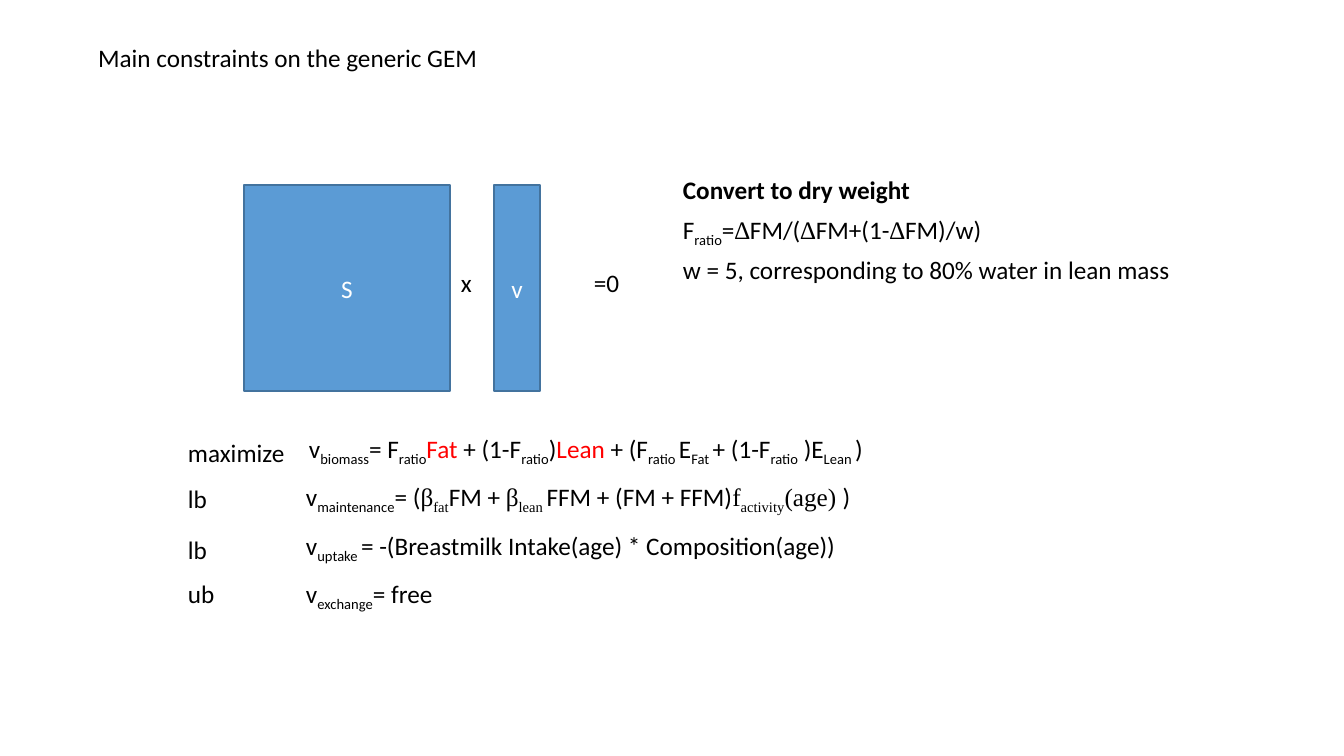
from pptx import Presentation
from pptx.dml.color import RGBColor
from pptx.enum.shapes import MSO_SHAPE
from pptx.enum.text import MSO_ANCHOR, MSO_AUTO_SIZE, PP_ALIGN
from pptx.util import Emu, Pt

SCALE = 914400 / 100.8
HEX = {"ink": "000000", "red": "FF0000", "blue": "5B9BD5", "edge": "43739E", "white": "FFFFFF"}
SANS, SERIF = "Calibri", "Times New Roman"
LINE = 40


def px(*vals):
    return [Emu(round(val * SCALE)) for val in vals]


def tint(name):
    return RGBColor.from_string(HEX[name])


def style(run, marks="", ink="ink"):
    font = run.font
    font.size = Pt(18)
    font.name = SERIF if "t" in marks else SANS
    font.color.rgb = tint("red" if "r" in marks else ink)
    font.bold = "b" in marks
    if "_" in marks:
        run._r.get_or_add_rPr().set("baseline", "-25000")


def write(slide, box, parts, wrap=False):
    frame = slide.shapes.add_textbox(*px(*box)).text_frame
    frame.word_wrap = wrap
    frame.auto_size = MSO_AUTO_SIZE.SHAPE_TO_FIT_TEXT
    for text, marks in parts:
        run = frame.paragraphs[0].add_run()
        run.text = text
        style(run, marks)


def head(slide, box):
    title = slide.shapes.title
    title.left, title.top, title.width, title.height = px(*box)
    frame = title.text_frame
    frame.text = "Main constraints on the generic GEM"
    frame.word_wrap = False
    frame.auto_size = MSO_AUTO_SIZE.NONE
    frame.vertical_anchor = MSO_ANCHOR.TOP
    frame.paragraphs[0].alignment = PP_ALIGN.LEFT
    style(frame.paragraphs[0].runs[0])


def block(slide, box, text):
    shape = slide.shapes.add_shape(MSO_SHAPE.RECTANGLE, *px(*box))
    shape.shadow.inherit = False
    shape.fill.solid()
    shape.fill.fore_color.rgb = tint("blue")
    shape.line.color.rgb = tint("edge")
    shape.line.width = Pt(1)
    frame = shape.text_frame
    frame.text = text
    frame.vertical_anchor = MSO_ANCHOR.MIDDLE
    para = frame.paragraphs[0]
    para.alignment = PP_ALIGN.CENTER
    style(para.runs[0], ink="white")


def balance(slide, box):
    left, top, width, height = box
    block(slide, (left, top, height, height), "S")
    block(slide, (left + 250, top, 46, height), "v")
    for text, shift, wide in (("x", 207, 31), ("=0", 340, 46)):
        write(slide, (left + shift, top + 77, wide, LINE), [(text, "")])


def weight(slide, box):
    left, top, width, height = box
    rows = [
        (249, [("Convert to dry weight", "b")]),
        (327, [("F", ""), ("ratio", "_"), ("=", ""), ("∆", "t"), ("FM/(", ""), ("∆", "t"),
               ("FM+(1-", ""), ("∆", "t"), ("FM)/w)", "")]),
        (width, [("w = 5, corresponding to 80% water in lean mass", "")]),
    ]
    for i, (wide, parts) in enumerate(rows):
        write(slide, (left, top + i * height / len(rows), wide, LINE), parts, wide == width)


def bounds(slide, box):
    left, top, width, height = box
    rows = [
        ("maximize", 118, 4, 121, 618, [
            ("v", ""), ("biomass", "_"), ("= F", ""), ("ratio", "_"), ("Fat", "r"), (" + (1-F", ""),
            ("ratio", "_"), (")", ""), ("Lean", "r"), (" + (F", ""), ("ratio ", "_"), ("E", ""),
            ("Fat ", "_"), ("+ (1-F", ""), ("ratio", "_"), (" )E", ""), ("Lean ", "_"), (")", "")]),
        ("lb", 39, 2, 118, 594, [
            ("v", ""), ("maintenance", "_"), ("= (", ""), ("β", "t"), ("fat", "t_"), ("FM + ", ""),
            ("β", "t"), ("lean ", "t_"), ("FFM + (FM + FFM)", ""), ("f", "t"), ("activity", "t_"),
            ("(age) ", "t"), (")", "")]),
        ("lb", 39, 4, 118, 562, [
            ("v", ""), ("uptake ", "_"), ("= -(Breastmilk Intake(age) * Composition(age))", "")]),
        ("ub", 47, 0, 118, 156, [("v", ""), ("exchange", "_"), ("= free", "")]),
    ]
    for i, (label, narrow, drop, shift, wide, parts) in enumerate(rows):
        y = top + i * height / len(rows)
        write(slide, (left, y + drop, narrow, LINE), [(label, "")])
        write(slide, (left + shift, y, wide, LINE), parts)


deck = Presentation()
deck.slide_width, deck.slide_height = px(1344, 756)
page = deck.slides.add_slide(deck.slide_layouts[5])
head(page, (88, 37, 404, LINE))
balance(page, (244, 185, 296, 206))
weight(page, (673, 169, 625, 121))
bounds(page, (178, 428, 739, 194))
deck.save("out.pptx")
